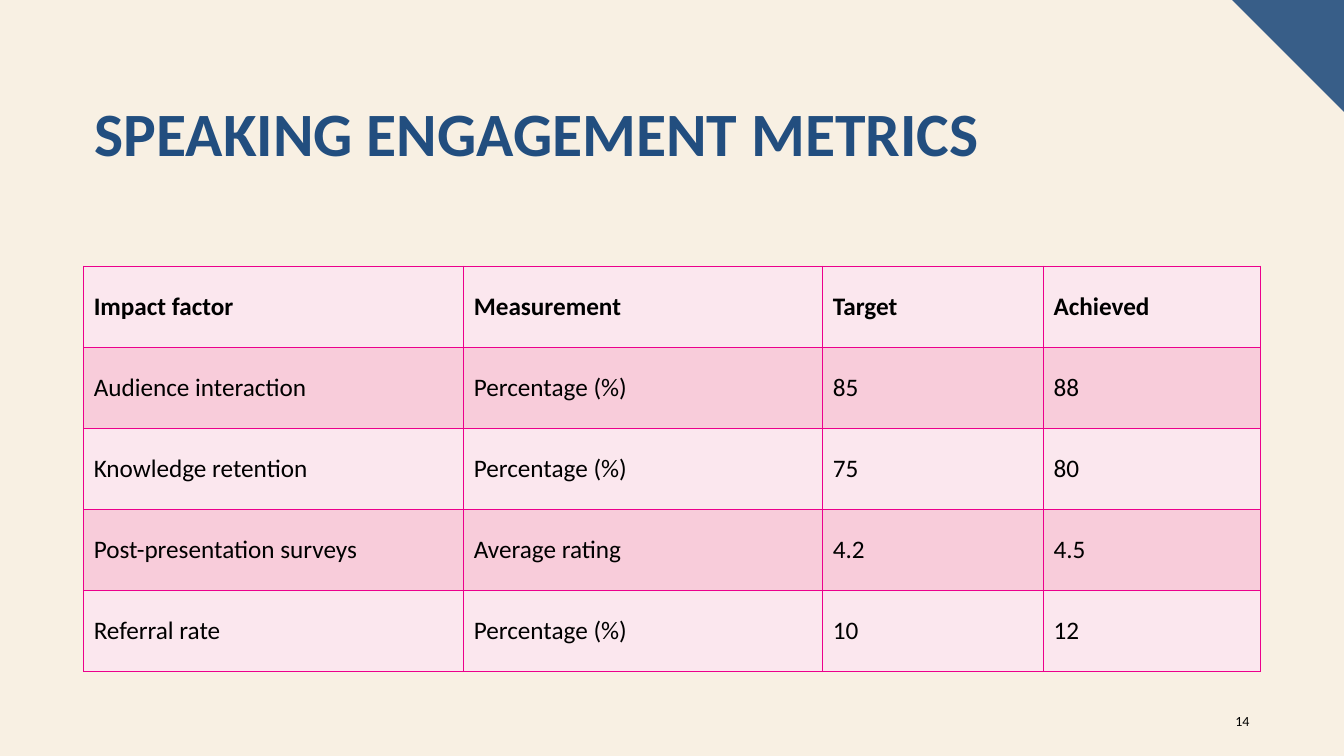
from lxml.etree import SubElement
from pptx import Presentation
from pptx.dml.color import RGBColor
from pptx.enum.text import MSO_ANCHOR, PP_ALIGN
from pptx.oxml.ns import qn
from pptx.util import Inches, Pt


def tint(code):
    return RGBColor.from_string(code)


def write(frame, text, size=18, color="000000", bold=False, align=PP_ALIGN.LEFT,
          anchor=MSO_ANCHOR.MIDDLE, lead=1.0, face="Calibri"):
    frame.word_wrap = True
    frame.vertical_anchor = anchor
    para = frame.paragraphs[0]
    para.alignment = align
    para.line_spacing = lead
    run = para.add_run()
    run.text = text
    run.font.name = face
    run.font.size = Pt(size)
    run.font.bold = bold
    run.font.color.rgb = tint(color)


class Deck:
    paper = "F8F0E3"
    navy = "224E7F"
    steel = "385E88"
    pink = "EC008C"
    bands = ("FBE7EE", "F8CCDA")

    def __init__(self, width, height):
        self.file = Presentation()
        self.file.slide_width = Inches(width)
        self.file.slide_height = Inches(height)
        self.slide = self.file.slides.add_slide(self.file.slide_layouts[6])
        back = self.slide.background.fill
        back.solid()
        back.fore_color.rgb = tint(self.paper)

    def shape(self, points, color):
        first, *rest = [(Inches(x), Inches(y)) for x, y in points]
        pen = self.slide.shapes.build_freeform(*first)
        pen.add_line_segments(rest, close=True)
        form = pen.convert_to_shape()
        form.shadow.inherit = False
        form.fill.solid()
        form.fill.fore_color.rgb = tint(color)
        form.line.fill.background()

    def text(self, box, words, **style):
        field = self.slide.shapes.add_textbox(*map(Inches, box))
        write(field.text_frame, words, **style)

    def border(self, cell, color, width):
        props = cell._tc.get_or_add_tcPr()
        for side in ("lnL", "lnR", "lnT", "lnB"):
            line = SubElement(props, qn(f"a:{side}"), w=str(Pt(width)))
            fill = SubElement(line, qn("a:solidFill"))
            SubElement(fill, qn("a:srgbClr"), val=color)

    def table(self, box, widths, rows):
        frame = self.slide.shapes.add_table(len(rows), len(widths), *map(Inches, box))
        grid = frame.table
        for col, width in zip(grid.columns, widths):
            col.width = Inches(width)
        for r, row in enumerate(rows):
            grid.rows[r].height = Inches(box[3] / len(rows))
            for c, words in enumerate(row):
                cell = grid.cell(r, c)
                self.border(cell, self.pink, 1)
                cell.fill.solid()
                cell.fill.fore_color.rgb = tint(self.bands[r % 2])
                cell.vertical_anchor = MSO_ANCHOR.MIDDLE
                write(cell.text_frame, words, bold=r == 0)


def main():
    deck = Deck(13.33, 7.5)
    deck.shape([(12.22, 0), (13.33, 0), (13.33, 1.11)], deck.steel)
    deck.text((0.84, 0.98, 11.66, 1.45), "SPEAKING ENGAGEMENT METRICS", size=44,
              color=deck.navy, bold=True, anchor=MSO_ANCHOR.TOP, lead=0.9)
    deck.table((0.83, 2.64, 11.67, 4.02), (3.77, 3.56, 2.19, 2.15), [
        ("Impact factor", "Measurement", "Target", "Achieved"),
        ("Audience interaction", "Percentage (%)", "85", "88"),
        ("Knowledge retention", "Percentage (%)", "75", "80"),
        ("Post-presentation surveys", "Average rating", "4.2", "4.5"),
        ("Referral rate", "Percentage (%)", "10", "12"),
    ])
    deck.text((11.99, 6.95, 0.5, 0.4), "14", size=10, align=PP_ALIGN.RIGHT)
    deck.file.save("out.pptx")


if __name__ == "__main__":
    main()
